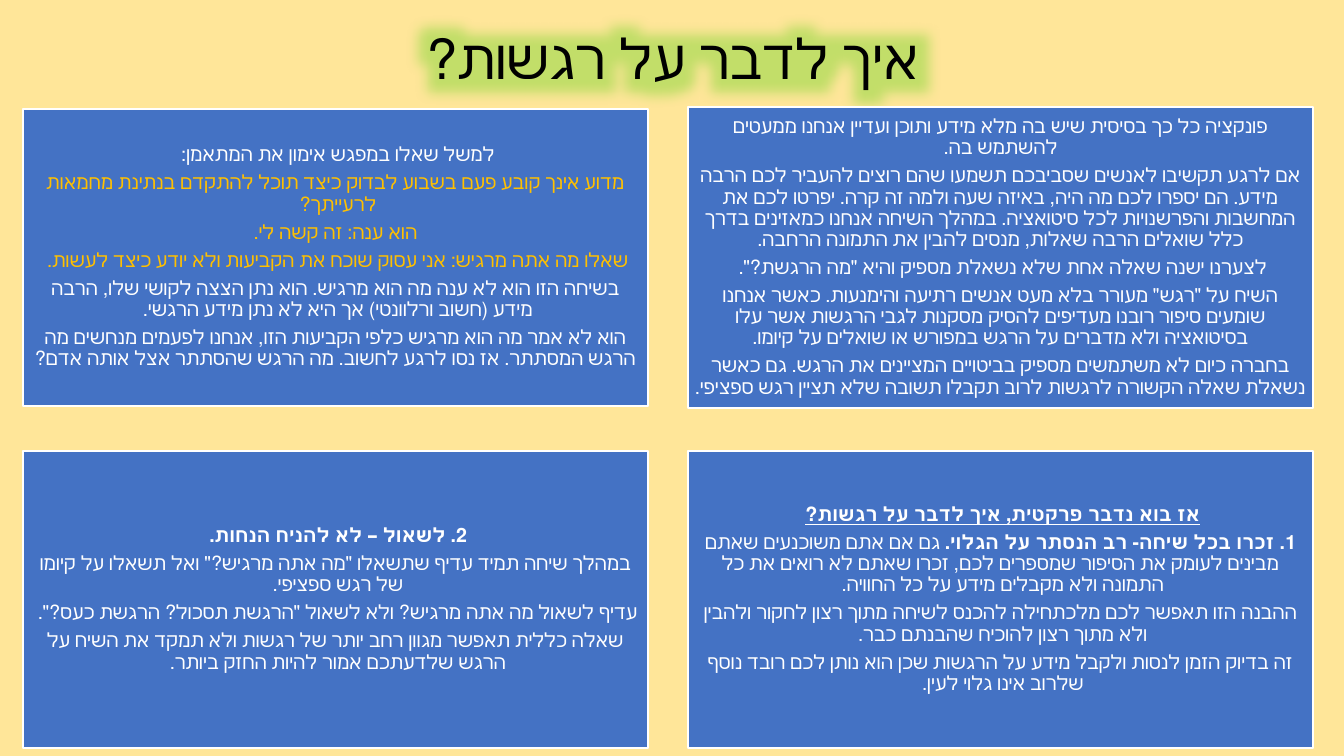
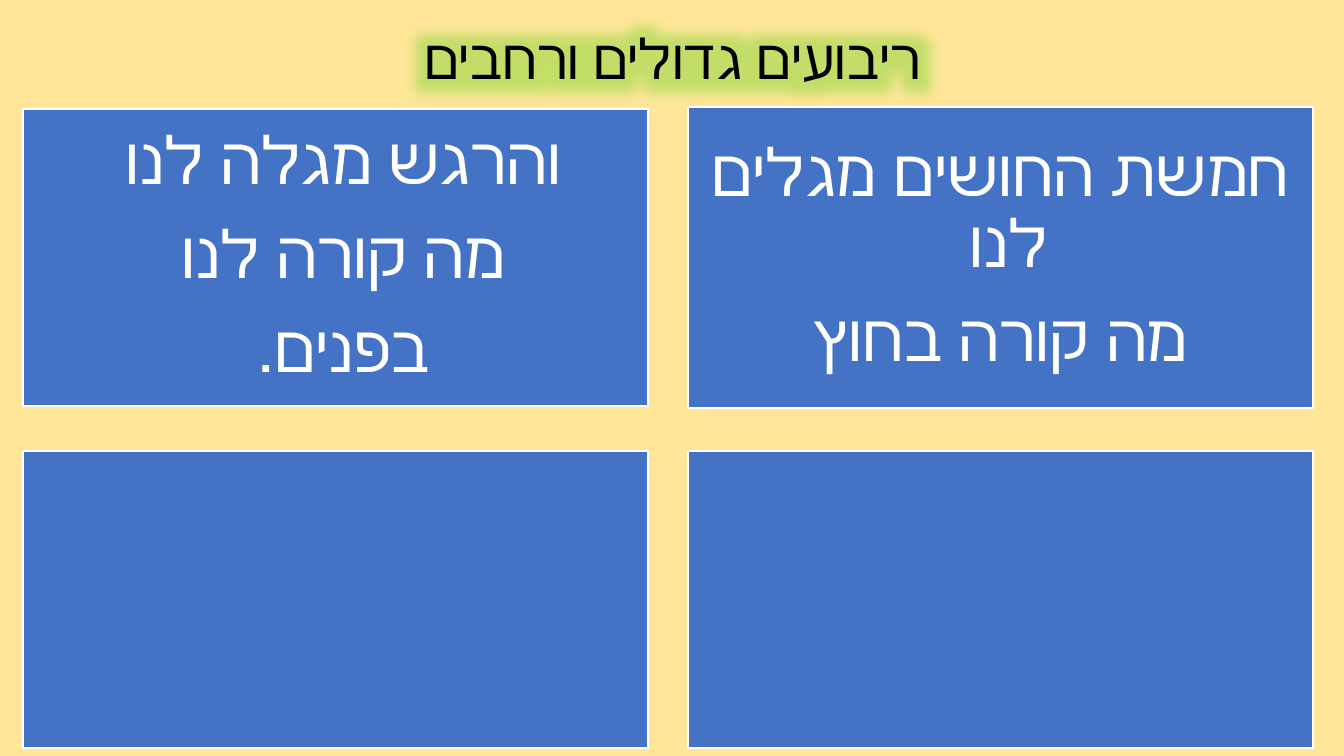
from lxml import etree
from pptx import Presentation
from pptx import util as u
from pptx.dml.color import RGBColor
from pptx.enum import lang, shapes, text
from pptx.oxml.ns import qn

PX = 914400 / 100.8
SAND = RGBColor(0xFF, 0xE6, 0x99)
BLUE = RGBColor(0x44, 0x72, 0xC4)
WHITE = RGBColor(0xFF, 0xFF, 0xFF)
BLACK = RGBColor(0, 0, 0)
GOLD = RGBColor(0xFF, 0xC0, 0x00)
GREEN = RGBColor(0x68, 0xD3, 0x21)
FONT = "Calibri"

# Panel boxes: left, top, width, height
TITLE = (93, 40, 1159, 44)
LEFT = (23, 109, 625, 297)
RIGHT = (688, 107, 625, 301)
LOW_LEFT = (23, 451, 625, 297)
LOW_RIGHT = (688, 451, 625, 297)

# A paragraph is a string, or a list of (text, marks): b bold, u underline, g gold
EXAMPLE = [
    "למשל שאלו במפגש אימון את המתאמן: ",
    [("מדוע אינך קובע פעם בשבוע לבדוק כיצד תוכל להתקדם בנתינת מחמאות לרעייתך? ", "g")],
    [("הוא ענה: זה קשה לי.", "g")],
    [("שאלו מה אתה מרגיש: אני עסוק שוכח את הקביעות ולא יודע כיצד לעשות. ", "g")],
    "בשיחה הזו הוא לא ענה מה הוא מרגיש. הוא נתן הצצה לקושי שלו, הרבה מידע "
    "(חשוב ורלוונטי) אך היא לא נתן מידע הרגשי. ",
    "הוא לא אמר מה הוא מרגיש כלפי הקביעות הזו, אנחנו לפעמים מנחשים מה הרגש "
    "המסתתר. אז נסו לרגע לחשוב. מה הרגש שהסתתר אצל אותה אדם?",
]
INTRO = [
    "פונקציה כל כך בסיסית שיש בה מלא מידע ותוכן ועדיין אנחנו ממעטים להשתמש בה.",
    "אם לרגע תקשיבו לאנשים שסביבכם תשמעו שהם רוצים להעביר לכם הרבה מידע. "
    "הם יספרו לכם מה היה, באיזה שעה ולמה זה קרה. יפרטו לכם את המחשבות "
    "והפרשנויות לכל סיטואציה. במהלך השיחה אנחנו כמאזינים בדרך כלל שואלים "
    "הרבה שאלות, מנסים להבין את התמונה הרחבה.",
    'לצערנו ישנה שאלה אחת שלא נשאלת מספיק והיא "מה הרגשת?". ',
    'השיח על "רגש" מעורר בלא מעט אנשים רתיעה והימנעות. כאשר אנחנו שומעים '
    "סיפור רובנו מעדיפים להסיק מסקנות לגבי הרגשות אשר עלו בסיטואציה ולא "
    "מדברים על הרגש במפורש או שואלים על קיומו.",
    "בחברה כיום לא משתמשים מספיק בביטויים המציינים את הרגש. גם כאשר נשאלת "
    "שאלה הקשורה לרגשות לרוב תקבלו תשובה שלא תציין רגש ספציפי. ",
]
ASK = [
    [("2. לשאול – לא להניח הנחות. ", "b")],
    'במהלך שיחה תמיד עדיף שתשאלו "מה אתה מרגיש?" ואל תשאלו על קיומו של רגש ספציפי. ',
    'עדיף לשאול מה אתה מרגיש? ולא לשאול "הרגשת תסכול? הרגשת כעס?". ',
    "שאלה כללית תאפשר מגוון רחב יותר של רגשות ולא תמקד את השיח על הרגש "
    "שלדעתכם אמור להיות החזק ביותר. ",
]
HIDDEN = [
    [("אז בוא נדבר פרקטית, איך לדבר על רגשות?", "bu"), (" ", "")],
    [("1. זכרו בכל שיחה- רב הנסתר על הגלוי.", "b"),
     (" גם אם אתם משוכנעים שאתם מבינים לעומק את הסיפור שמספרים לכם, זכרו "
      "שאתם לא רואים את כל התמונה ולא מקבלים מידע על כל החוויה. ", "")],
    "ההבנה הזו תאפשר לכם מלכתחילה להכנס לשיחה מתוך רצון לחקור ולהבין ולא "
    "מתוך רצון להוכיח שהבנתם כבר. ",
    "זה בדיוק הזמן לנסות ולקבל מידע על הרגשות שכן הוא נותן לכם רובד נוסף "
    "שלרוב אינו גלוי לעין. ",
]
INSIDE = ["והרגש מגלה לנו ", "מה קורה לנו ", "בפנים. "]
OUTSIDE = ["חמשת החושים מגלים לנו ", "מה קורה בחוץ"]

# Title, text size, inset, panels
SLIDES = [
    ("איך לדבר על רגשות?", 14, 6,
     [(LEFT, EXAMPLE), (RIGHT, INTRO), (LOW_LEFT, ASK), (LOW_RIGHT, HIDDEN)]),
    ("ריבועים גדולים ורחבים", 47, 20,
     [(LEFT, INSIDE), (RIGHT, OUTSIDE), (LOW_LEFT, []), (LOW_RIGHT, [])]),
]


def px(n):
    return u.Emu(round(n * PX))


def style(run, size, color):
    font = run.font
    font.size = u.Pt(size)
    font.name = FONT
    font.color.rgb = color
    font.language_id = lang.MSO_LANGUAGE_ID.HEBREW


def align(para):
    para.alignment = text.PP_ALIGN.CENTER
    para.line_spacing = 0.9
    para._p.get_or_add_pPr().set("rtl", "1")


def glow(run):
    props = run._r.get_or_add_rPr()
    halo = etree.SubElement(etree.SubElement(props, qn("a:effectLst")),
                            qn("a:glow"), rad=str(u.Pt(40)))
    tint = etree.SubElement(halo, qn("a:srgbClr"), val=str(GREEN))
    etree.SubElement(tint, qn("a:alpha"), val="40000")


def head(slide, words):
    title = slide.shapes.title
    title.left, title.top, title.width, title.height = map(px, TITLE)
    frame = title.text_frame
    frame.text = words
    frame.auto_size = text.MSO_AUTO_SIZE.NONE
    frame.vertical_anchor = text.MSO_ANCHOR.MIDDLE
    align(frame.paragraphs[0])
    run = frame.paragraphs[0].runs[0]
    glow(run)
    style(run, 39.6, BLACK)


def panel(slide, box, paras, size, inset):
    rect = slide.shapes.add_shape(shapes.MSO_SHAPE.RECTANGLE, *map(px, box))
    rect.shadow.inherit = False
    rect.fill.solid()
    rect.fill.fore_color.rgb = BLUE
    rect.line.color.rgb = WHITE
    rect.line.width = u.Pt(1)
    frame = rect.text_frame
    frame.word_wrap = True
    frame.vertical_anchor = text.MSO_ANCHOR.MIDDLE
    frame.margin_left = frame.margin_right = px(inset)
    frame.margin_top = frame.margin_bottom = px(inset)
    for i, parts in enumerate(paras):
        para = frame.add_paragraph() if i else frame.paragraphs[0]
        align(para)
        para.space_after = u.Pt(size * 0.35)
        if isinstance(parts, str):
            parts = [(parts, "")]
        for words, marks in parts:
            run = para.add_run()
            run.text = words
            style(run, size, GOLD if "g" in marks else WHITE)
            run.font.bold = "b" in marks
            run.font.underline = "u" in marks


def main():
    deck = Presentation()
    deck.slide_width, deck.slide_height = px(1344), px(756)
    # Shared background
    back = deck.slide_master.background.fill
    back.solid()
    back.fore_color.rgb = SAND
    for words, size, inset, panels in SLIDES:
        slide = deck.slides.add_slide(deck.slide_layouts[5])
        head(slide, words)
        for box, paras in panels:
            panel(slide, box, paras, size, inset)
    deck.save("out.pptx")


if __name__ == "__main__":
    main()
